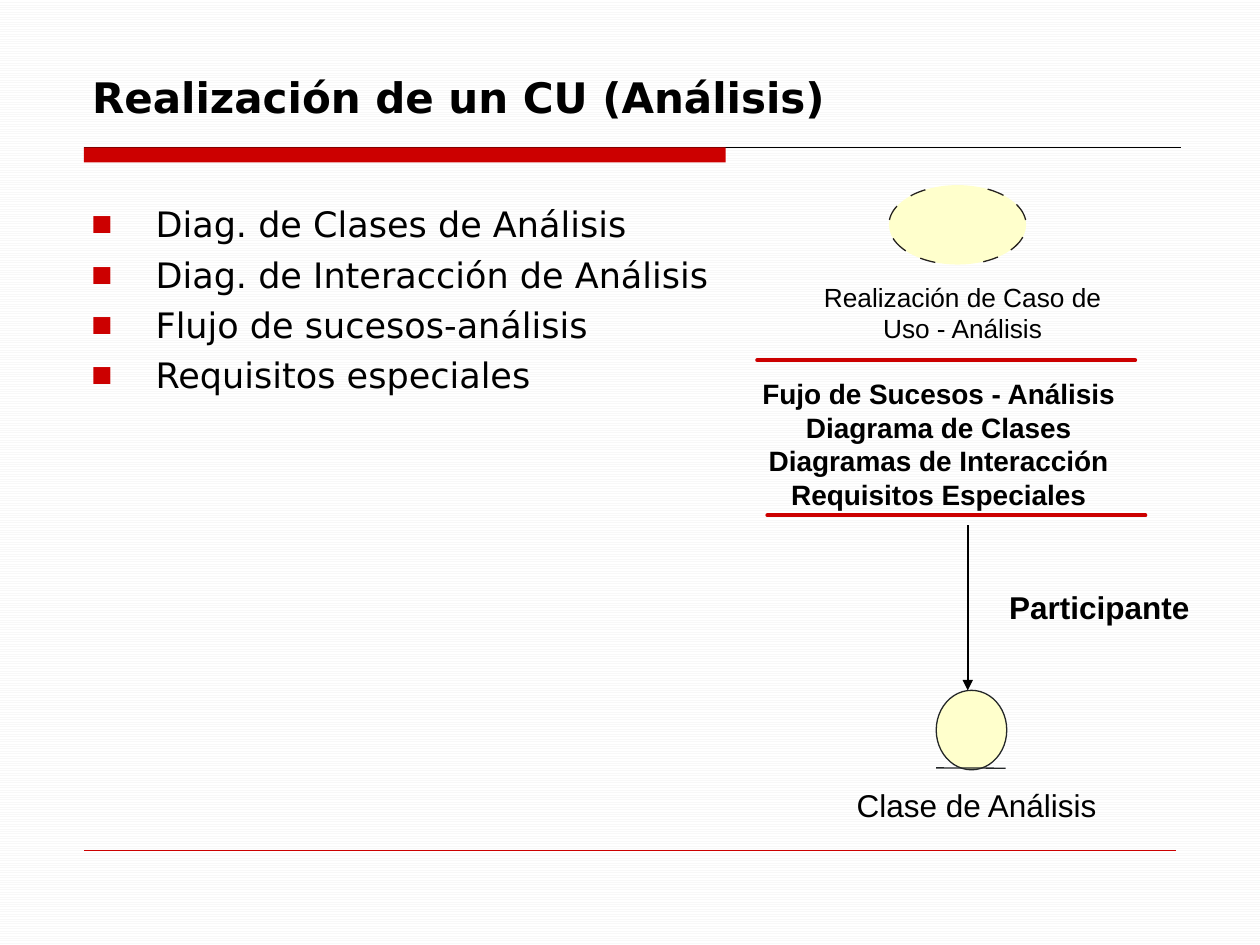
import math

from lxml import etree
from pptx import Presentation
from pptx.dml.color import RGBColor
from pptx.enum import dml, shapes, text
from pptx.oxml import ns
from pptx.util import Pt

COLORS = {
    "red": "CC0000", "black": "000000", "cream": "FFFFCC",
    "outline": "242728", "dash": "25221E", "stripe": "F8F8F8", "white": "FFFFFF",
}
HEAD_FONT, LABEL_FONT = "DejaVu Sans", "Arial"
CENTER, LEFT, JUSTIFY = (text.PP_ALIGN.CENTER, text.PP_ALIGN.LEFT,
                         text.PP_ALIGN.JUSTIFY)

BULLETS = ["Diag. de Clases de Análisis", "Diag. de Interacción de Análisis",
           "Flujo de sucesos-análisis", "Requisitos especiales"]
CONTENTS = ["Fujo de Sucesos - Análisis", "Diagrama de Clases",
            "Diagramas de Interacción", "Requisitos Especiales"]

# Use-case ellipse, and its visible dashes as angles clockwise from the right
CASE_CX, CASE_CY, CASE_RX, CASE_RY = 547.2, 128.5, 39.2, 22.7
DASHES = [(-64, -48), (-31, -7), (18, 39), (54, 68),
          (109, 123), (139, 160), (187, 208), (227, 242)]


def rgb(name):
    return RGBColor.from_string(COLORS[name])


def child(parent, tag, **attrs):
    return etree.SubElement(parent, ns.qn(tag), attrs)


def write(tf, lines, size=18, font=LABEL_FONT, bold=False, align=CENTER, wrap=True):
    """Fill a text frame with one formatted paragraph per line."""
    tf.word_wrap = wrap
    tf.auto_size = text.MSO_AUTO_SIZE.NONE
    for i, line in enumerate(lines):
        p = tf.paragraphs[0] if i == 0 else tf.add_paragraph()
        p.alignment = align
        r = p.add_run()
        r.text = line
        r.font.size, r.font.name, r.font.bold = Pt(size), font, bold
        r.font.color.rgb = rgb("black")


def place(sp, left, top, width, height):
    sp.left, sp.top, sp.width, sp.height = map(Pt, (left, top, width, height))


def add_label(s, box, lines, **fmt):
    sp = s.shapes.add_textbox(*map(Pt, box))
    write(sp.text_frame, lines, **fmt)


def add_shape(s, kind, box, fill, line=None):
    sp = s.shapes.add_shape(kind, *map(Pt, box))
    sp.shadow.inherit = False
    sp.fill.solid()
    sp.fill.fore_color.rgb = rgb(fill)
    if line:
        sp.line.color.rgb = rgb(line)
        sp.line.width = Pt(0.75)
    else:
        sp.line.fill.background()


def add_line(s, x1, y1, x2, y2, color, width, arrow=False, rounded=False):
    sp = s.shapes.add_connector(shapes.MSO_CONNECTOR.STRAIGHT,
                                Pt(x1), Pt(y1), Pt(x2), Pt(y2))
    sp.line.color.rgb = rgb(color)
    sp.line.width = Pt(width)
    ln = sp.line._get_or_add_ln()
    if rounded:
        ln.set("cap", "rnd")
    if arrow:
        child(ln, "a:tailEnd", type="triangle")
    child(sp._element.spPr, "a:effectLst")


def add_dash(s, start, end, steps=6):
    """Draw one arc of the use-case outline."""
    points = []
    for i in range(steps + 1):
        a = math.radians(start + (end - start) * i / steps)
        points.append((Pt(CASE_CX + CASE_RX * math.cos(a)),
                       Pt(CASE_CY + CASE_RY * math.sin(a))))
    builder = s.shapes.build_freeform(*points[0])
    builder.add_line_segments(points[1:], close=False)
    sp = builder.convert_to_shape()
    sp.shadow.inherit = False
    sp.fill.background()
    sp.line.color.rgb = rgb("dash")
    sp.line.width = Pt(0.75)


def add_bullets(tf, indent=36.7):
    for p in tf.paragraphs:
        p.space_before, p.space_after = Pt(0), Pt(4.7)
        pPr = p._p.get_or_add_pPr()
        pPr.set("marL", str(Pt(indent)))
        pPr.set("indent", str(Pt(-indent)))
        child(child(pPr, "a:buClr"), "a:srgbClr", val=COLORS["red"])
        child(pPr, "a:buFont", typeface=LABEL_FONT)
        child(pPr, "a:buChar", char="■")


def add_frame(s):
    """Striped background and the rules above and below the content."""
    fill = s.background.fill
    fill.patterned()
    fill.pattern = dml.MSO_PATTERN.LIGHT_HORIZONTAL
    fill.fore_color.rgb, fill.back_color.rgb = rgb("stripe"), rgb("white")
    add_line(s, 48, 84.2, 674.6, 84.2, "black", 0.75)
    add_shape(s, shapes.MSO_SHAPE.RECTANGLE, (48, 84.2, 366.7, 8.6), "red")
    add_line(s, 48, 486, 672, 486, "red", 0.25)


def add_outline(s):
    title, body = s.shapes.title, s.placeholders[1]
    place(title, 45.4, 11.5, 630, 62)
    write(title.text_frame, ["Realización de un CU (Análisis)"], size=24,
          font=HEAD_FONT, bold=True, align=LEFT)
    title.text_frame.vertical_anchor = text.MSO_ANCHOR.BOTTOM
    place(body, 45, 112.3, 630, 366)
    write(body.text_frame, BULLETS, size=20, font=HEAD_FONT, align=JUSTIFY)
    add_bullets(body.text_frame)


def add_diagram(s):
    oval = shapes.MSO_SHAPE.OVAL
    # Use-case realization
    add_shape(s, oval, (CASE_CX - CASE_RX, CASE_CY - CASE_RY,
                        2 * CASE_RX, 2 * CASE_RY), "cream")
    for start, end in DASHES:
        add_dash(s, start, end)
    add_label(s, (450.7, 157, 198.7, 44), ["Realización de Caso de Uso - Análisis"],
              size=15)
    # Contents between red rules
    add_label(s, (427.7, 211.7, 217.4, 84.2), CONTENTS, size=16, bold=True)
    for x, y in [(432.7, 205.8), (438.5, 294.5)]:
        add_line(s, x, y, x + 216, y, "red", 2.25, rounded=True)
    # Analysis class
    add_shape(s, oval, (535, 394.5, 40.3, 45.4), "cream", "outline")
    add_line(s, 535, 438.8, 574.6, 439, "outline", 0.75)
    add_label(s, (473, 445.7, 170, 28.8), ["Clase de Análisis"])
    # Participation arrow
    add_line(s, 553, 300.2, 553, 394.5, "black", 1, arrow=True)
    add_label(s, (569.5, 332.6, 117.4, 28.8), ["Participante"], bold=True, wrap=False)


def main():
    prs = Presentation()
    prs.slide_width, prs.slide_height = Pt(720), Pt(540)
    s = prs.slides.add_slide(prs.slide_layouts[1])
    add_frame(s)
    add_outline(s)
    add_diagram(s)
    prs.save("out.pptx")


if __name__ == "__main__":
    main()
